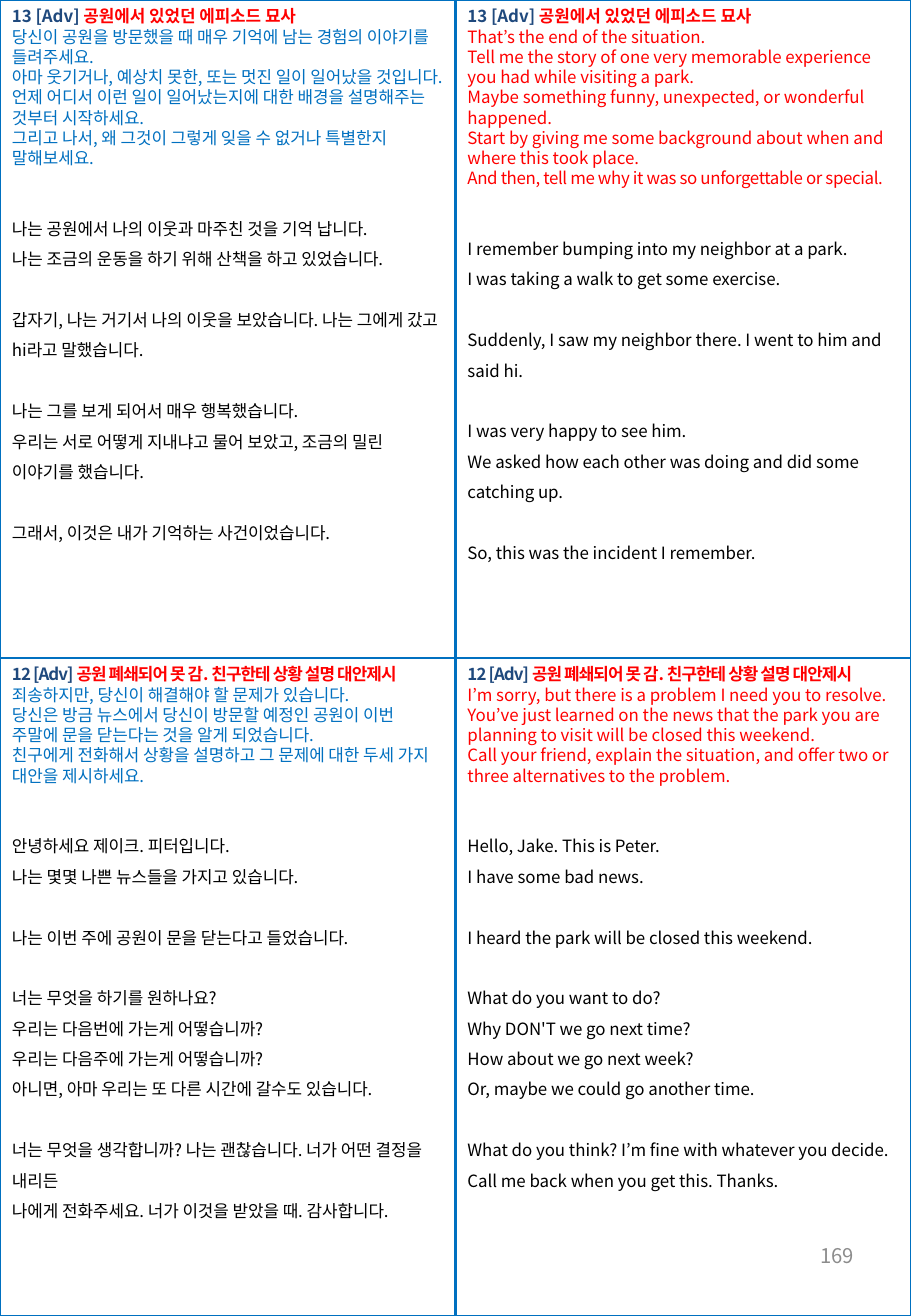
from dataclasses import dataclass

from lxml.etree import SubElement
from pptx import Presentation
from pptx.dml.color import RGBColor
from pptx.enum.shapes import MSO_CONNECTOR, MSO_SHAPE
from pptx.enum.text import MSO_ANCHOR, PP_ALIGN
from pptx.oxml.ns import qn
from pptx.util import Inches, Pt


@dataclass(frozen=True)
class Theme:
    font: str = "Noto Sans CJK KR"
    blue: RGBColor = RGBColor(0x00, 0x70, 0xC0)
    navy: RGBColor = RGBColor(0x1F, 0x49, 0x7D)
    red: RGBColor = RGBColor(0xFF, 0x00, 0x00)
    black: RGBColor = RGBColor(0x00, 0x00, 0x00)
    gray: RGBColor = RGBColor(0x8C, 0x8C, 0x8C)
    text_size: int = 10
    number_size: int = 12
    prompt_pitch: int = 12
    answer_pitch: int = 18
    answer_start: int = 24
    group_gap: int = 18
    rule_width: float = 1.5


THEME = Theme()
WIDTH, HEIGHT = 7.5, 10.83
PAGE_NUMBER = "169"

QUESTIONS = [
    {
        "number": "13 [Adv] ",
        "topic": "공원에서 있었던 에피소드 묘사",
        "heading_tracking": 0,
        "korean": {
            "prompt": [
                "당신이 공원을 방문했을 때 매우 기억에 남는 경험의 이야기를 들려주세요.",
                "아마 웃기거나, 예상치 못한, 또는 멋진 일이 일어났을 것입니다.",
                "언제 어디서 이런 일이 일어났는지에 대한 배경을 설명해주는 것부터 시작하세요.",
                "그리고 나서, 왜 그것이 그렇게 잊을 수 없거나 특별한지 말해보세요.",
            ],
            "answer": [
                ["나는 공원에서 나의 이웃과 마주친 것을 기억 납니다.",
                 "나는 조금의 운동을 하기 위해 산책을 하고 있었습니다."],
                ["갑자기, 나는 거기서 나의 이웃을 보았습니다. 나는 그에게 갔고 hi라고 말했습니다."],
                ["나는 그를 보게 되어서 매우 행복했습니다.",
                 "우리는 서로 어떻게 지내냐고 물어 보았고, 조금의 밀린 이야기를 했습니다."],
                ["그래서, 이것은 내가 기억하는 사건이었습니다."],
            ],
        },
        "english": {
            "prompt": [
                "That’s the end of the situation.",
                "Tell me the story of one very memorable experience you had while visiting a park.",
                "Maybe something funny, unexpected, or wonderful happened.",
                "Start by giving me some background about when and where this took place.",
                "And then, tell me why it was so unforgettable or special.",
            ],
            "last_prompt_tracking": -0.2,
            "answer": [
                ["I remember bumping into my neighbor at a park.",
                 "I was taking a walk to get some exercise."],
                ["Suddenly, I saw my neighbor there. I went to him and said hi."],
                ["I was very happy to see him.",
                 "We asked how each other was doing and did some catching up."],
                ["So, this was the incident I remember."],
            ],
        },
    },
    {
        "number": "12 [Adv] ",
        "topic": "공원 폐쇄되어 못 감. 친구한테 상황 설명 대안제시",
        "heading_tracking": -0.5,
        "korean": {
            "prompt": [
                "죄송하지만, 당신이 해결해야 할 문제가 있습니다.",
                "당신은 방금 뉴스에서 당신이 방문할 예정인 공원이 이번 주말에 문을 닫는다는 것을 알게 되었습니다.",
                "친구에게 전화해서 상황을 설명하고 그 문제에 대한 두세 가지 대안을 제시하세요.",
            ],
            "answer": [
                ["안녕하세요 제이크. 피터입니다.", "나는 몇몇 나쁜 뉴스들을 가지고 있습니다."],
                ["나는 이번 주에 공원이 문을 닫는다고 들었습니다."],
                ["너는 무엇을 하기를 원하나요?",
                 "우리는 다음번에 가는게 어떻습니까?",
                 "우리는 다음주에 가는게 어떻습니까?",
                 "아니면, 아마 우리는 또 다른 시간에 갈수도 있습니다."],
                ["너는 무엇을 생각합니까? 나는 괜찮습니다. 너가 어떤 결정을 내리든",
                 "나에게 전화주세요. 너가 이것을 받았을 때. 감사합니다."],
            ],
        },
        "english": {
            "prompt": [
                "I’m sorry, but there is a problem I need you to resolve.",
                "You’ve just learned on the news that the park you are planning to visit will be closed this weekend.",
                "Call your friend, explain the situation, and offer two or three alternatives to the problem.",
            ],
            "answer": [
                ["Hello, Jake. This is Peter.", "I have some bad news."],
                ["I heard the park will be closed this weekend."],
                ["What do you want to do?",
                 "Why DON'T we go next time?",
                 "How about we go next week?",
                 "Or, maybe we could go another time."],
                ["What do you think? I’m fine with whatever you decide.",
                 "Call me back when you get this. Thanks."],
            ],
        },
    },
]
LANGUAGES = [("korean", THEME.blue), ("english", THEME.red)]


def add_run(paragraph, text, color, size=THEME.text_size, bold=False, tracking=0):
    run = paragraph.add_run()
    run.text = text
    run.font.size = Pt(size)
    run.font.bold = bold
    run.font.color.rgb = color
    run.font.name = THEME.font
    properties = run._r.get_or_add_rPr()
    SubElement(properties, qn("a:ea")).set("typeface", THEME.font)
    if tracking:
        properties.set("spc", str(round(tracking * 100)))


def add_paragraph(frame, pitch, before=0):
    paragraph = frame.add_paragraph()
    paragraph.line_spacing = Pt(pitch)
    paragraph.space_before = Pt(before)
    return paragraph


def add_text_frame(slide, left, top, width, height):
    box = slide.shapes.add_textbox(Inches(left), Inches(top), Inches(width), Inches(height))
    box.text_frame.word_wrap = True
    return box.text_frame


def add_panel(slide, question, passage, prompt_color, left, top):
    frame = add_text_frame(slide, left, top, WIDTH / 2, 4.85)
    heading = frame.paragraphs[0]
    heading.line_spacing = Pt(THEME.prompt_pitch)
    for text, color in [(question["number"], THEME.navy), (question["topic"], THEME.red)]:
        add_run(heading, text, color, bold=True, tracking=question["heading_tracking"])
    for line in passage["prompt"]:
        is_last = line == passage["prompt"][-1]
        tracking = passage.get("last_prompt_tracking", 0) if is_last else 0
        add_run(add_paragraph(frame, THEME.prompt_pitch), line, prompt_color, tracking=tracking)
    before = THEME.answer_start
    for group in passage["answer"]:
        for line in group:
            add_run(add_paragraph(frame, THEME.answer_pitch, before), line, THEME.black)
            before = 0
        before = THEME.group_gap


def add_rule(slide, *ends):
    rule = slide.shapes.add_connector(MSO_CONNECTOR.STRAIGHT, *map(Inches, ends))
    rule.line.color.rgb = THEME.blue
    rule.line.width = Pt(THEME.rule_width)
    SubElement(rule._element.spPr, qn("a:effectLst"))


def add_frame(slide):
    border = slide.shapes.add_shape(MSO_SHAPE.RECTANGLE, 0, 0, Inches(WIDTH), Inches(HEIGHT))
    border.shadow.inherit = False
    border.fill.background()
    border.line.color.rgb = THEME.blue
    border.line.width = Pt(THEME.rule_width)


def add_page_number(slide):
    frame = add_text_frame(slide, 5.38, 10.04, 1.75, 0.58)
    frame.vertical_anchor = MSO_ANCHOR.MIDDLE
    paragraph = frame.paragraphs[0]
    paragraph.alignment = PP_ALIGN.RIGHT
    add_run(paragraph, PAGE_NUMBER, THEME.gray, THEME.number_size)


def main():
    presentation = Presentation()
    presentation.slide_width, presentation.slide_height = Inches(WIDTH), Inches(HEIGHT)
    slide = presentation.slides.add_slide(presentation.slide_layouts.get_by_name("Blank"))
    add_rule(slide, 0, HEIGHT / 2, WIDTH, HEIGHT / 2)
    add_rule(slide, WIDTH / 2, 0, WIDTH / 2, HEIGHT)
    add_frame(slide)
    add_page_number(slide)
    for row, question in enumerate(QUESTIONS):
        for column, (language, color) in enumerate(LANGUAGES):
            add_panel(slide, question, question[language], color, column * WIDTH / 2, row * HEIGHT / 2)
    presentation.save("out.pptx")


if __name__ == "__main__":
    main()
